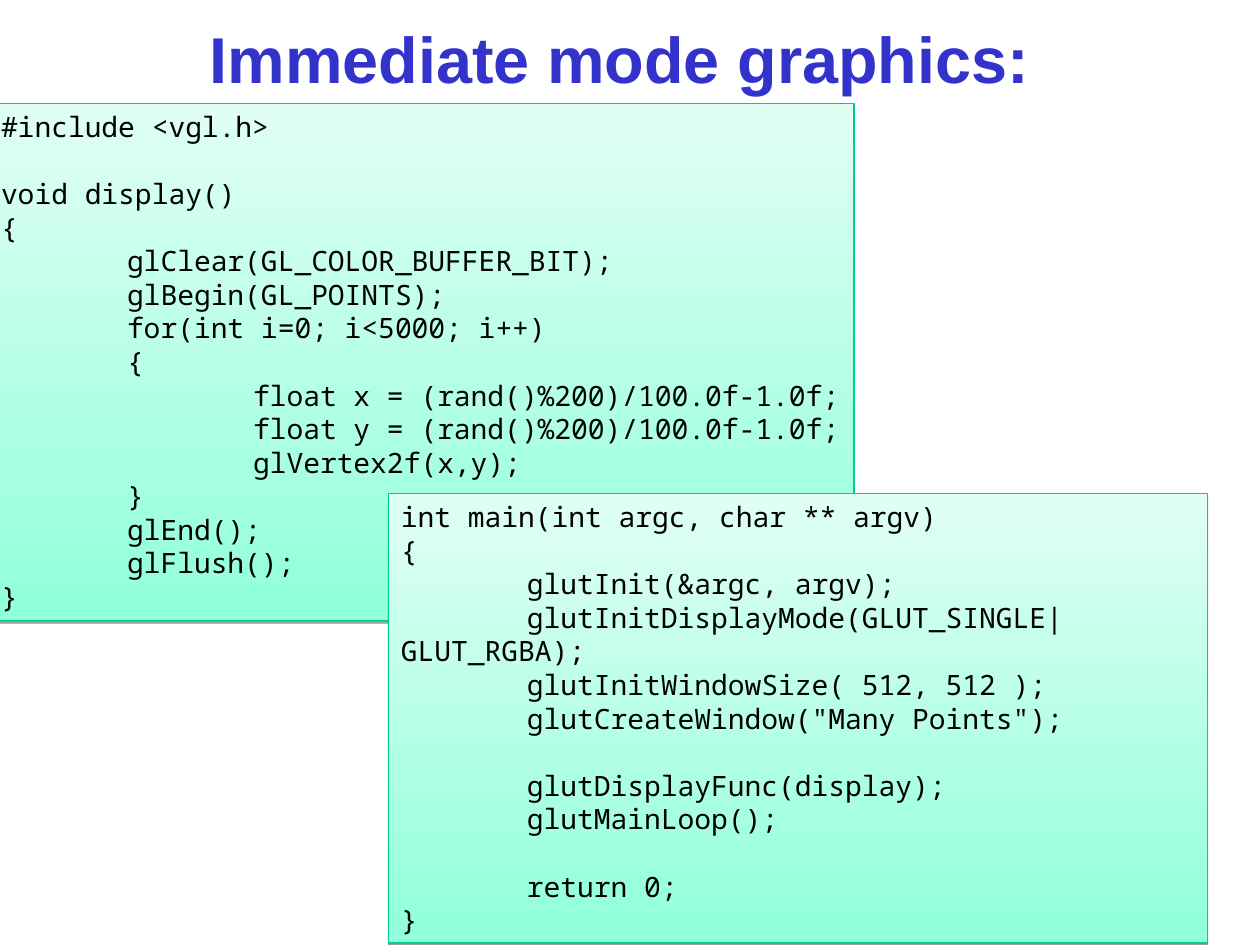
from dataclasses import dataclass

from lxml.etree import SubElement
from pptx import Presentation
from pptx.dml.color import RGBColor
from pptx.enum.shapes import MSO_SHAPE
from pptx.enum.text import MSO_ANCHOR, MSO_AUTO_SIZE, PP_ALIGN
from pptx.oxml.ns import qn
from pptx.util import Pt

CODE_FONT = "Noto Sans Mono"
CODE_SIZE = 16
BLANK_LINE = 19.2
TAB_WIDTH = 72

DISPLAY_CODE = """#include <vgl.h>

void display()
{
\tglClear(GL_COLOR_BUFFER_BIT);
\tglBegin(GL_POINTS);
\tfor(int i=0; i<5000; i++)
\t{
\t\tfloat x = (rand()%200)/100.0f-1.0f;
\t\tfloat y = (rand()%200)/100.0f-1.0f;
\t\tglVertex2f(x,y);
\t}
\tglEnd();
\tglFlush();
}"""

MAIN_CODE = """int main(int argc, char ** argv)
{
\tglutInit(&argc, argv);
\tglutInitDisplayMode(GLUT_SINGLE|GLUT_RGBA);
\tglutInitWindowSize( 512, 512 );
\tglutCreateWindow("Many Points");

\tglutDisplayFunc(display);
\tglutMainLoop();

\treturn 0;
}"""


@dataclass(frozen=True)
class CodePanel:
    left: float
    top: float
    width: float
    height: float
    wrap: bool
    code: str


PANELS = [
    CodePanel(-6.5, 59, 494.5, 295.5, False, DISPLAY_CODE),
    CodePanel(222, 282, 468, 257, True, MAIN_CODE),
]


def color(value: str) -> RGBColor:
    return RGBColor.from_string(value)


def add_tabs(paragraph, count: int) -> None:
    tab_list = SubElement(paragraph._p.get_or_add_pPr(), qn("a:tabLst"))
    for index in range(count):
        SubElement(tab_list, qn("a:tab"), pos=str(Pt(index * TAB_WIDTH)), algn="l")


def add_shadow(shape) -> None:
    shape.shadow.inherit = False
    effects = shape._element.spPr.find(qn("a:effectLst"))
    shadow = SubElement(effects, qn("a:outerShdw"), blurRad="0", dist=str(Pt(1.6)),
                        dir="5400000", rotWithShape="0")
    shadow_color = SubElement(shadow, qn("a:srgbClr"), val="000000")
    SubElement(shadow_color, qn("a:alpha"), val="38000")


def write_code(text_frame, code: str) -> None:
    blocks = [block.split("\n") for block in code.split("\n\n")]
    text_frame.text = "\n".join(line for block in blocks for line in block)
    starts_block = [index == 0 for block in blocks for index in range(len(block))]
    for number, paragraph in enumerate(text_frame.paragraphs):
        paragraph.alignment = PP_ALIGN.LEFT
        add_tabs(paragraph, 8)
        if number and starts_block[number]:
            paragraph.space_before = Pt(BLANK_LINE)
        for run in paragraph.runs:
            run.font.name = CODE_FONT
            run.font.size = Pt(CODE_SIZE)
            run.font.color.rgb = color("000000")


def add_code_panel(slide, panel: CodePanel) -> None:
    shape = slide.shapes.add_shape(MSO_SHAPE.RECTANGLE, Pt(panel.left), Pt(panel.top),
                                   Pt(panel.width), Pt(panel.height))
    shape.fill.gradient()
    shape.fill.gradient_angle = 90
    for stop, position, value in zip(shape.fill.gradient_stops, (0, 1), ("90FFDA", "E0FFF4")):
        stop.position = position
        stop.color.rgb = color(value)
    shape.line.color.rgb = color("00CC98")
    shape.line.width = Pt(0.75)
    add_shadow(shape)
    text_frame = shape.text_frame
    text_frame.word_wrap = panel.wrap
    text_frame.auto_size = MSO_AUTO_SIZE.SHAPE_TO_FIT_TEXT
    text_frame.vertical_anchor = MSO_ANCHOR.TOP
    write_code(text_frame, panel.code)


def add_title(slide, title: str) -> None:
    box = slide.shapes.add_textbox(Pt(0), Pt(6), Pt(708), Pt(54))
    text_frame = box.text_frame
    text_frame.word_wrap = True
    text_frame.vertical_anchor = MSO_ANCHOR.MIDDLE
    text_frame.text = title
    paragraph = text_frame.paragraphs[0]
    paragraph.alignment = PP_ALIGN.CENTER
    font = paragraph.runs[0].font
    font.name = "Arial"
    font.size = Pt(37)
    font.bold = True
    font.color.rgb = color("3333CC")


def main() -> None:
    presentation = Presentation()
    presentation.slide_width = Pt(720)
    presentation.slide_height = Pt(540)
    slide = presentation.slides.add_slide(presentation.slide_layouts[6])
    add_title(slide, "Immediate mode graphics:")
    for panel in PANELS:
        add_code_panel(slide, panel)
    presentation.save("out.pptx")


if __name__ == "__main__":
    main()
